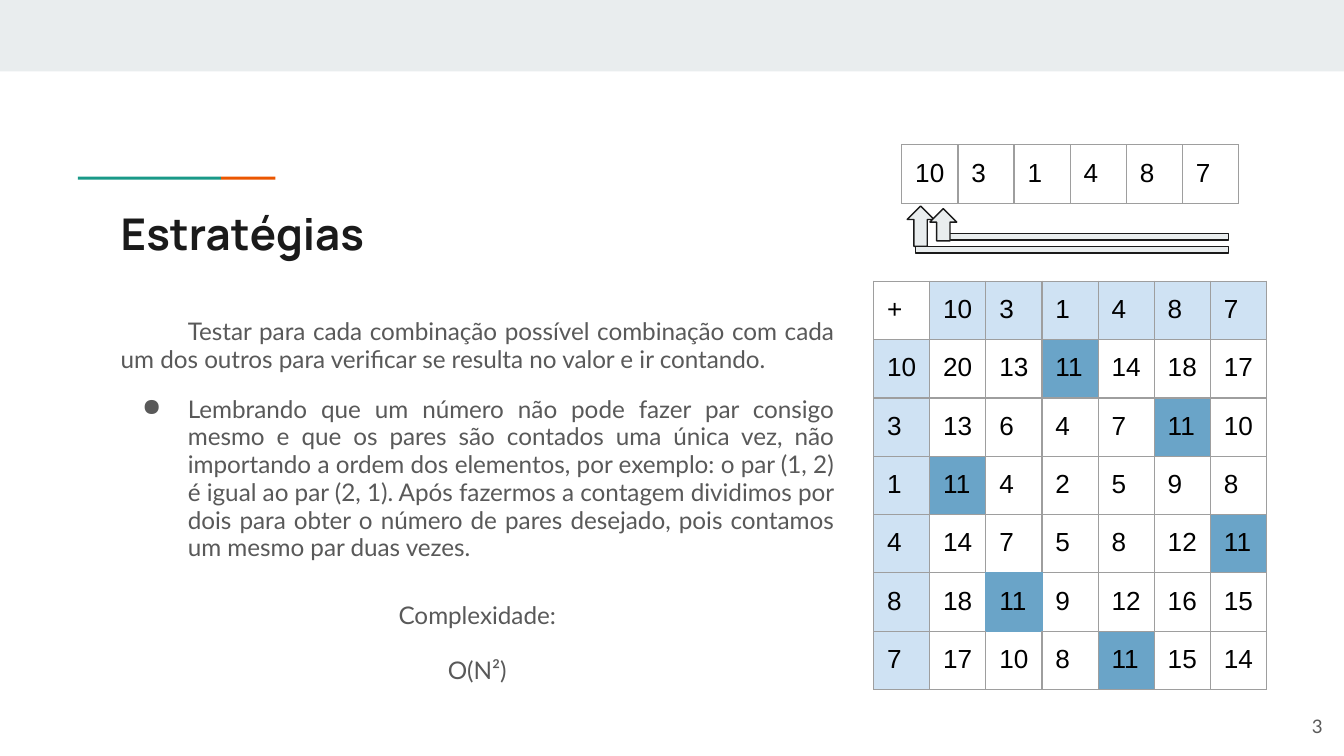
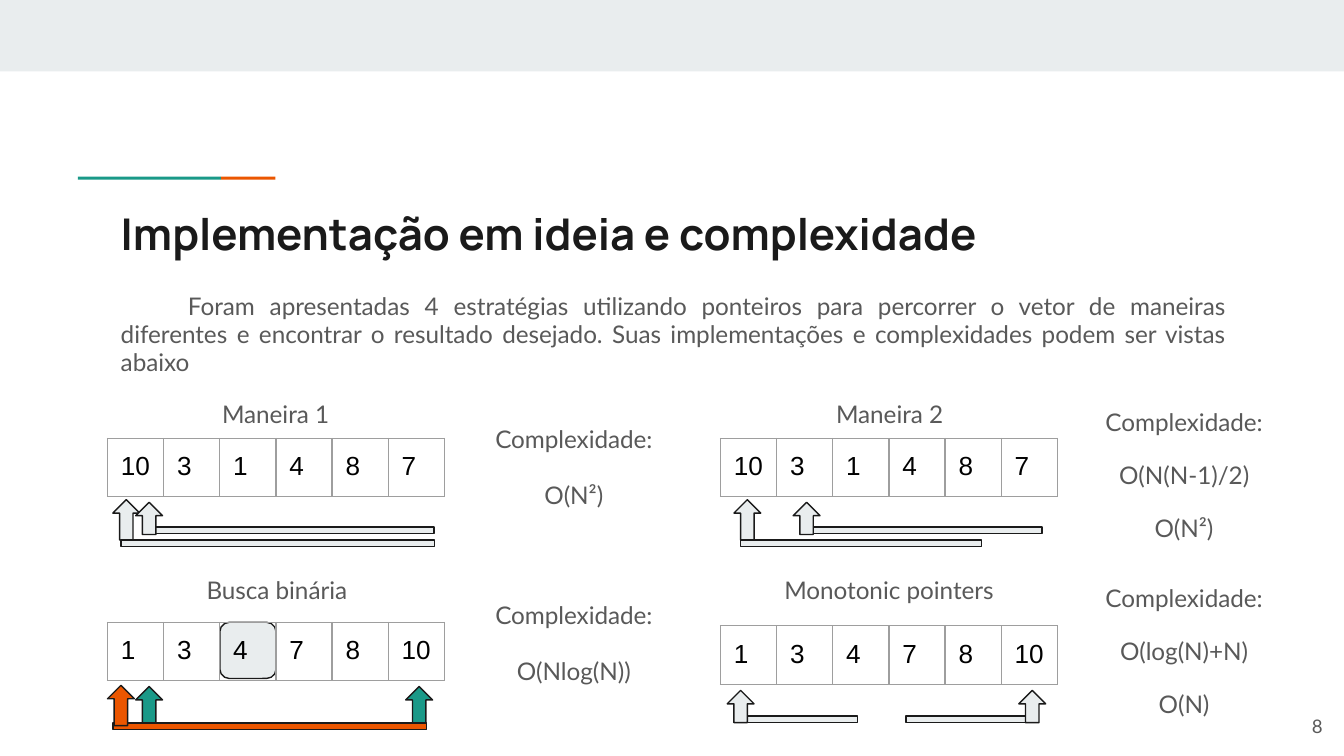
from lxml.etree import SubElement as Sub
from pptx import Presentation
from pptx.dml.color import RGBColor as Rgb
from pptx.enum.shapes import MSO_SHAPE as Kind
from pptx.enum.text import MSO_ANCHOR as Anchor, PP_ALIGN as Align
from pptx.oxml.ns import qn
from pptx.util import Pt

HUES = {"band": "E9EDEE", "teal": "1A9988", "orange": "EB5600", "ink": "1A1A1A",
        "text": "595959", "black": "000000", "white": "FFFFFF",
        "edge": "9E9E9E", "head": "CFE2F3", "hit": "6AA4C8"}
CELL = 30.1
NUMS = [10, 3, 1, 4, 8, 7]
RANKED = sorted(NUMS)
GOAL = 11


def draw(slide, kind, x, y, w, h, hue, line=True):
    shape = slide.shapes.add_shape(kind, Pt(x), Pt(y), Pt(w), Pt(h))
    shape.shadow.inherit = False
    shape.fill.solid()
    shape.fill.fore_color.rgb = Rgb.from_string(HUES[hue])
    if line:
        shape.line.color.rgb = Rgb.from_string(HUES["ink"])
        shape.line.width = Pt(0.75)
    else:
        shape.line.fill.background()


def write(slide, x, y, w, h, lines, size=13, align=Align.CENTER, space=1.15,
          font="Lato", hue="text", bold=False):
    frame = slide.shapes.add_textbox(Pt(x), Pt(y), Pt(w), Pt(h)).text_frame
    frame.word_wrap = True
    frame.margin_left = frame.margin_right = Pt(7.2)
    frame.margin_top = frame.margin_bottom = Pt(7.2)
    frame.text = "\n".join(lines)
    for i, para in enumerate(frame.paragraphs):
        para.alignment = align
        para.line_spacing = space
        para.space_before = Pt(12 if i else 0)
        face = para.runs[0].font
        face.name, face.size, face.bold = font, Pt(size), bold
        face.color.rgb = Rgb.from_string(HUES[hue])
    return frame


deck = Presentation()
deck.slide_width, deck.slide_height = Pt(720), Pt(405)

# Shared frame: band, accent line, title, page number
pages = []
for title, num in [("Estratégias", "3"), ("Implementação em ideia e complexidade", "8")]:
    page = deck.slides.add_slide(deck.slide_layouts[6])
    pages.append(page)
    draw(page, Kind.RECTANGLE, 0, 0, 720, 38.3, "band", False)
    draw(page, Kind.RECTANGLE, 118.4, 94.7, 29.2, 1.6, "orange", False)
    draw(page, Kind.RECTANGLE, 41.8, 94.7, 76.6, 1.6, "teal", False)
    write(page, 57.6, 103.7, 605.5, 42.5, [title], 23.4, Align.LEFT, 1,
          "Manrope", "ink", True)
    foot = write(page, 672.5, 373.7, 43.2, 31, [num], 10, Align.RIGHT, 1)
    foot.vertical_anchor = Anchor.MIDDLE
first, last = pages

# Body text
body = write(first, 57.6, 163.4, 396, 154.8, [
    "Testar para cada combinação possível combinação com cada um dos outros "
    "para verificar se resulta no valor e ir contando.",
    "Lembrando que um número não pode fazer par consigo mesmo e que os pares são "
    "contados uma única vez, não importando a ordem dos elementos, por exemplo: "
    "o par (1, 2) é igual ao par (2, 1). Após fazermos a contagem dividimos por "
    "dois para obter o número de pares desejado, pois contamos um mesmo par duas "
    "vezes."], align=Align.JUSTIFY, space=0.95)
intro = write(last, 57.6, 150.2, 605.5, 60.5, [
    "Foram apresentadas 4 estratégias utilizando ponteiros para percorrer o vetor "
    "de maneiras diferentes e encontrar o resultado desejado. Suas implementações "
    "e complexidades podem ser vistas abaixo"], align=Align.JUSTIFY, space=0.95)
for frame in (body, intro):
    frame.paragraphs[0]._p.get_or_add_pPr().set("indent", str(Pt(36)))
item = body.paragraphs[1]._p.get_or_add_pPr()
item.set("marL", str(Pt(36)))
item.set("indent", str(Pt(-24.5)))
Sub(item, qn("a:buChar")).set("char", "●")

# Labels over the arrays
for x, y, w, label in [(106.4, 204.5, 82.4, "Maneira 1"), (435.4, 204.5, 82.4, "Maneira 2"),
                       (95, 298.8, 106.6, "Busca binária"),
                       (408.7, 298.8, 135, "Monotonic pointers")]:
    write(last, x, y, w, 31, [label])

# Complexity notes
for page, x, y, space, costs in [
        (first, 200.2, 311.8, 1.15, ["O(N²)"]),
        (last, 252, 217.8, 1.15, ["O(N²)"]),
        (last, 578.9, 210.4, 1.05, ["O(N(N-1)/2)", "O(N²)"]),
        (last, 252, 312.2, 1.15, ["O(Nlog(N))"]),
        (last, 578.9, 304.6, 1.05, ["O(log(N)+N)", "O(N)"])]:
    write(page, x, y, 110.9, 73.4, ["Complexidade:"] + costs, space=space)

# Pointers, placed from the corner of their array: kind, x, y, length, colour
both = [("bar", 20.9, 47.5, 154, "band"), ("up", 2.9, 32.8, 21.6, "band"),
        ("up", 15.1, 34.2, 17.3, "band"), ("bar", 7.2, 54.4, 168, "band")]
half = [("bar", 43.2, 47.5, 129, "band"), ("up", 7.2, 32.8, 21.6, "band"),
        ("up", 38.9, 34.2, 17.3, "band"), ("bar", 10.8, 54.4, 129, "band")]
seek = [("up", 159.8, 34.4, 21.6, "teal"), ("up", 15.1, 34.4, 21.6, "teal"),
        ("bar", 2.9, 54, 168, "orange"), ("up", 0, 33.8, 21.6, "orange"),
        ("mid", 2 * CELL, 0, CELL, "band")]
ends = [("bar", 99.4, 48.2, 69.8, "band"), ("bar", 7.2, 48.2, 66.2, "band"),
        ("up", 3.6, 34.6, 17.3, "band"), ("up", 159.8, 34.6, 17.3, "band")]

tables = []
for page, x, y, nums, marks in [
        (first, 483.1, 77.6, NUMS, both), (last, 57.6, 234.9, NUMS, both),
        (last, 386, 234.9, NUMS, half), (last, 57.6, 333.4, RANKED, seek),
        (last, 386, 335.3, RANKED, ends)]:
    tables.append((page, x, y, [nums]))
    for kind, dx, dy, size, hue in marks:
        form, w, h = {"bar": (Kind.RECTANGLE, size, 3.6),
                      "up": (Kind.UP_ARROW, 14.4, size),
                      "mid": (Kind.ROUNDED_RECTANGLE, size, size)}[kind]
        draw(page, form, x + dx, y + dy, w, h, hue)

# Tables: the arrays and the grid of sums
sums = [["+"] + NUMS] + [[a] + [a + b for b in NUMS] for a in NUMS]
tables.append((first, 468, 150.7, sums))
BLUE = (5, 2)
SIDES = [("L", 0, -1), ("R", 0, 1), ("T", -1, 0), ("B", 1, 0)]
for page, x, y, rows in tables:
    grid = len(rows) > 1
    table = page.shapes.add_table(len(rows), len(rows[0]), Pt(x), Pt(y),
                                  Pt(CELL * len(rows[0])), Pt(CELL * len(rows))).table
    table.first_row = table.horz_banding = False
    for part in [*table.columns]:
        part.width = Pt(CELL)
    for r, row in enumerate(rows):
        table.rows[r].height = Pt(CELL)
        for c, value in enumerate(row):
            cell = table.cell(r, c)
            cell.margin_left = cell.margin_right = Pt(7.2)
            cell.margin_top = cell.margin_bottom = Pt(7.2)
            cell.text = str(value)
            face = cell.text_frame.paragraphs[0].runs[0].font
            face.name, face.size = "Arial", Pt(14)
            face.color.rgb = Rgb.from_string(HUES["black"])
            for side, dr, dc in SIDES:
                blue = grid and BLUE in ((r, c), (r + dr, c + dc))
                line = Sub(cell._tc.get_or_add_tcPr(), qn("a:ln" + side), w=str(Pt(0.75)))
                paint = Sub(line, qn("a:solidFill"))
                Sub(paint, qn("a:srgbClr"), val=HUES["hit" if blue else "edge"])
            hue = None
            if grid and r + c == 0:
                hue = "white"
            elif grid and r * c == 0:
                hue = "head"
            elif grid and value == GOAL:
                hue = "hit"
            if hue:
                cell.fill.solid()
                cell.fill.fore_color.rgb = Rgb.from_string(HUES[hue])
            else:
                cell.fill.background()

deck.save("out.pptx")
